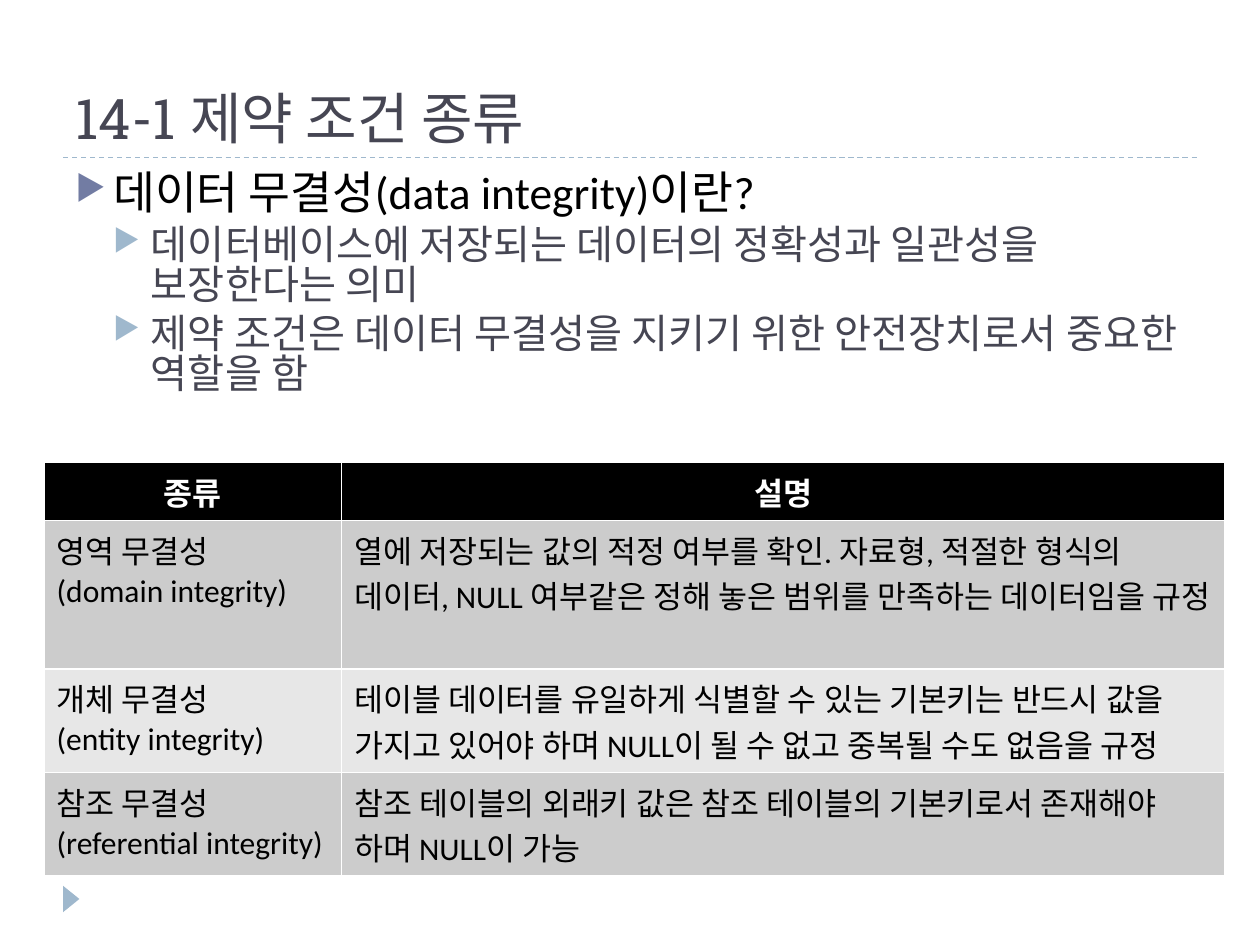
from lxml import etree
from pptx import Presentation
from pptx import util as u
from pptx.dml.color import RGBColor
from pptx.enum import dml, shapes, text
from pptx.oxml import ns

COLORS = {"ink": "464653", "black": "000000", "white": "FFFFFF", "sky": "9FB8CD",
          "violet": "727CA3", "dark_band": "CCCCCC", "light_band": "E7E7E7"}

POINTS = [
    (0, "데이터 무결성(data integrity)이란?"),
    (1, "데이터베이스에 저장되는 데이터의 정확성과 일관성을 보장한다는 의미"),
    (1, "제약 조건은 데이터 무결성을 지키기 위한 안전장치로서 중요한 역할을 함"),
]
LEVELS = [
    {"size": 26, "color": "black", "bullet": "violet", "before": 6},
    {"size": 23, "color": "ink", "bullet": "sky", "before": 5},
]
CONSTRAINTS = [
    ("종류", "설명"),
    ("영역 무결성\n(domain integrity)",
     "열에 저장되는 값의 적정 여부를 확인. 자료형, 적절한 형식의 데이터, NULL 여부같은 정해 놓은 "
     "범위를 만족하는 데이터임을 규정"),
    ("개체 무결성\n(entity integrity)",
     "테이블 데이터를 유일하게 식별할 수 있는 기본키는 반드시 값을 가지고 있어야 하며 NULL이 될 수 "
     "없고 중복될 수도 없음을 규정"),
    ("참조 무결성\n(referential integrity)",
     "참조 테이블의 외래키 값은 참조 테이블의 기본키로서 존재해야 하며 NULL이 가능"),
]


class SlideWriter:
    """Holds the deck style and the current slide, and adds its elements."""

    def __init__(self, deck):
        self.slide = deck.slides.add_slide(deck.slide_layouts[5])

    def color(self, name):
        return RGBColor.from_string(COLORS[name])

    def format(self, target, **values):
        for key, value in values.items():
            setattr(target, key, value)

    def style(self, paragraph, size, color, name="Calibri", bold=False):
        for run in paragraph.runs:
            self.format(run.font, size=u.Pt(size), name=name, bold=bold)
            run.font.color.rgb = self.color(color)

    def title(self, wording, left, top, width, height):
        heading = self.slide.shapes.title
        self.format(heading, left=u.Inches(left), top=u.Inches(top),
                    width=u.Inches(width), height=u.Inches(height))
        heading.text_frame.text = wording
        heading.text_frame.vertical_anchor = text.MSO_ANCHOR.BOTTOM
        paragraph = heading.text_frame.paragraphs[0]
        paragraph.alignment = text.PP_ALIGN.LEFT
        self.style(paragraph, 32, "ink", "Roboto Slab")

    def rule(self, left, right, y):
        divider = self.slide.shapes.add_connector(
            shapes.MSO_CONNECTOR.STRAIGHT, *map(u.Inches, (left, y, right, y)))
        self.format(divider.line, width=u.Pt(0.75), dash_style=dml.MSO_LINE.DASH)
        divider.line.color.rgb = self.color("sky")
        etree.SubElement(divider._element.spPr, ns.qn("a:effectLst"))

    def marker(self, left, top, width, height):
        triangle = self.slide.shapes.add_shape(
            shapes.MSO_SHAPE.ISOSCELES_TRIANGLE, *map(u.Inches, (left, top, width, height)))
        triangle.rotation = 90
        triangle.shadow.inherit = False
        triangle.fill.solid()
        triangle.fill.fore_color.rgb = self.color("sky")
        triangle.line.fill.background()

    def bullet(self, paragraph, level, color):
        props = paragraph._p.get_or_add_pPr()
        props.set("marL", str(u.Inches(0.3 * (level + 1))))
        props.set("indent", str(u.Inches(-0.3)))
        tint = etree.SubElement(props, ns.qn("a:buClr"))
        etree.SubElement(tint, ns.qn("a:srgbClr"), val=COLORS[color])
        etree.SubElement(props, ns.qn("a:buSzPct"), val="76000")
        etree.SubElement(props, ns.qn("a:buChar"), char="▶")

    def outline(self, points, left, top, width, height):
        body = self.slide.shapes.add_textbox(
            *map(u.Inches, (left, top, width, height))).text_frame
        body.word_wrap = True
        body.text = "\n".join(wording for _, wording in points)
        for paragraph, (level, _) in zip(body.paragraphs, points):
            look = LEVELS[level]
            self.format(paragraph, level=level, line_spacing=0.83,
                        space_before=u.Pt(look["before"]))
            self.bullet(paragraph, level, look["bullet"])
            self.style(paragraph, look["size"], look["color"])

    def table(self, rows, left, top, widths, heights):
        grid = self.slide.shapes.add_table(
            len(rows), len(widths), u.Inches(left), u.Inches(top),
            u.Inches(sum(widths)), u.Inches(sum(heights))).table
        for column, width in zip(grid.columns, widths):
            column.width = u.Inches(width)
        for index, (row, height) in enumerate(zip(grid.rows, heights)):
            row.height = u.Inches(height)
            header = index == 0
            band = "black" if header else "dark_band" if index % 2 else "light_band"
            for cell, wording in zip(row.cells, rows[index]):
                cell.text = wording
                cell.fill.solid()
                cell.fill.fore_color.rgb = self.color(band)
                for paragraph in cell.text_frame.paragraphs:
                    paragraph.alignment = text.PP_ALIGN.CENTER if header else text.PP_ALIGN.LEFT
                    self.style(paragraph, 18, "white" if header else "black", bold=header)


def main():
    deck = Presentation()
    deck.slide_width, deck.slide_height = u.Inches(10), u.Inches(7.5)
    writer = SlideWriter(deck)
    for y in (6.95, 1.25):
        writer.rule(0.5, 9.5, y)
    writer.marker(0.46, 7.07, 0.21, 0.13)
    writer.title("14-1 제약 조건 종류", 0.5, 0.17, 9, 1.08)
    writer.outline(POINTS, 0.5, 1.33, 9, 5.4)
    writer.table(CONSTRAINTS, 0.35, 3.67, (2.36, 7.01), (0.46, 1.18, 0.82, 0.82))
    deck.save("out.pptx")


if __name__ == "__main__":
    main()
